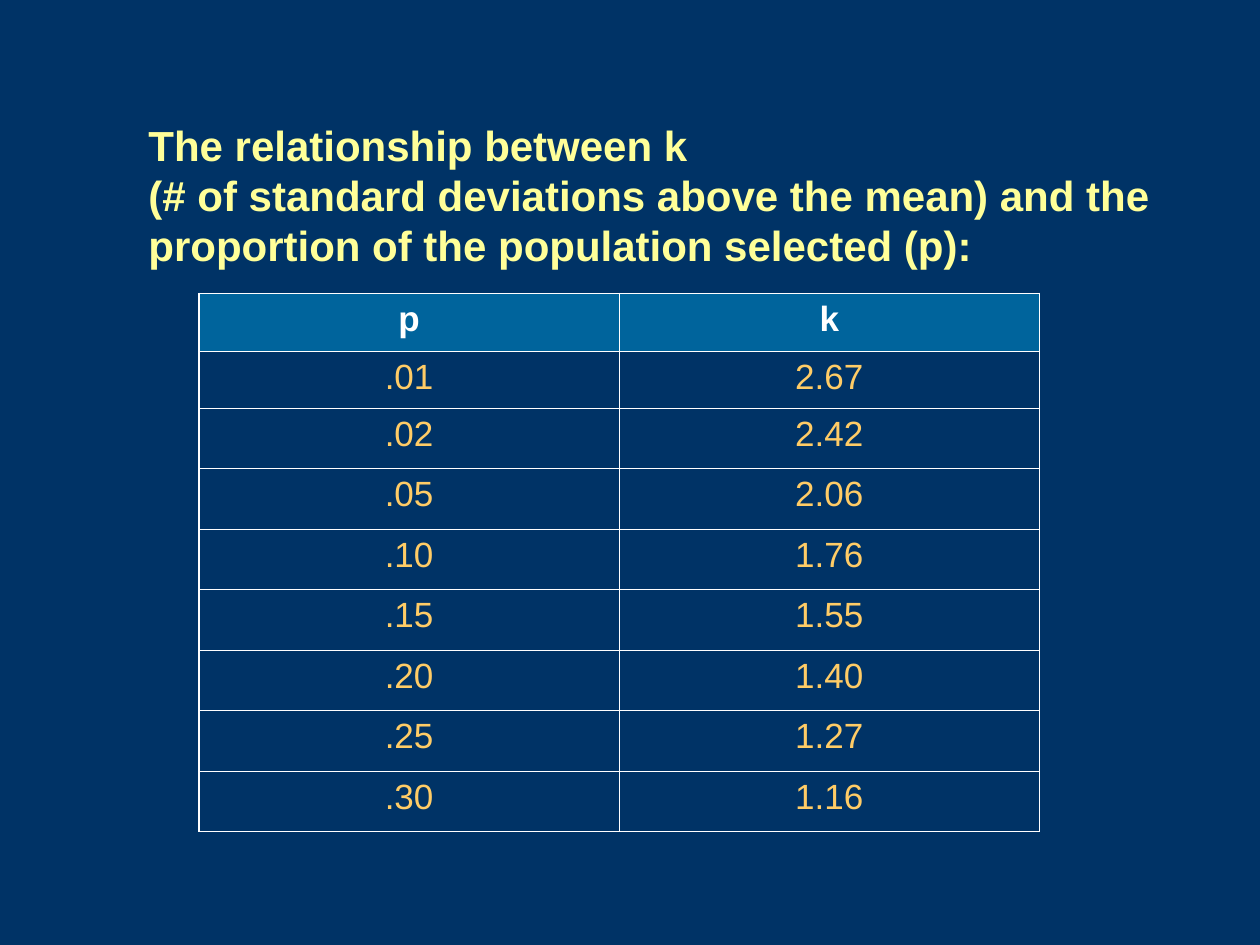
from dataclasses import dataclass

from lxml.etree import SubElement as Sub
from pptx import Presentation
from pptx.dml.color import RGBColor as RGB
from pptx.enum.text import MSO_ANCHOR as Anchor, PP_ALIGN as Align
from pptx.oxml.ns import qn
from pptx.util import Inches, Pt


@dataclass(frozen=True)
class Theme:
    font: str = "Arial"
    back: str = "003366"
    head: str = "00649C"
    title: str = "FFFF99"
    label: str = "FFFFFF"
    value: str = "FFCC66"
    rule: str = "FFFFFF"
    title_size: int = 24
    cell_size: int = 20
    outer: float = 1.08
    inner: float = 0.45


THEME = Theme()
TITLE = ("The relationship between k \v(# of standard deviations above the mean) "
         "and the proportion of the population selected (p):")
ROWS = [
    ("p", "k"),
    (".01", "2.67"),
    (".02", "2.42"),
    (".05", "2.06"),
    (".10", "1.76"),
    (".15", "1.55"),
    (".20", "1.40"),
    (".25", "1.27"),
    (".30", "1.16"),
]
HEIGHTS = [0.46, 0.45] + [0.48] * 7


def style(para, color, **form):
    para.font.color.rgb = RGB.from_string(color)
    for name, value in {"name": THEME.font, **form}.items():
        setattr(para.font, name, value)


def add_title(slide):
    box = slide.shapes.add_textbox(Inches(1.08), Inches(0.92), Inches(8.33), Inches(1.25))
    frame = box.text_frame
    frame.word_wrap = True
    frame.vertical_anchor = Anchor.MIDDLE
    para = frame.paragraphs[0]
    para.text = TITLE
    style(para, THEME.title, size=Pt(THEME.title_size), bold=True)


def add_rules(cell, edges):
    """Draw the cell borders, heavier on the edges of the table."""
    props = cell._tc.get_or_add_tcPr()
    for side, edge in edges.items():
        width = Pt(THEME.outer if edge else THEME.inner)
        line = Sub(props, qn(f"a:ln{side}"), w=str(width))
        fill = Sub(line, qn("a:solidFill"))
        Sub(fill, qn("a:srgbClr"), val=THEME.rule)


def fill_cell(cell, text, head):
    para = cell.text_frame.paragraphs[0]
    para.text = text
    para.alignment = Align.CENTER
    para.space_before = Pt(5)
    style(para, THEME.label if head else THEME.value, size=Pt(THEME.cell_size), bold=head)
    if head:
        cell.fill.solid()
        cell.fill.fore_color.rgb = RGB.from_string(THEME.head)
    else:
        cell.fill.background()


def add_grid(slide):
    count, width = len(ROWS), len(ROWS[0])
    frame = slide.shapes.add_table(count, width, Inches(1.58), Inches(2.33),
                                   Inches(6.67), Inches(sum(HEIGHTS)))
    table = frame.table
    table.first_row = table.horz_banding = False
    for row, height in zip(table.rows, HEIGHTS):
        row.height = Inches(height)
    for r, texts in enumerate(ROWS):
        for c, text in enumerate(texts):
            cell = table.cell(r, c)
            add_rules(cell, {"L": c == 0, "R": c == width - 1,
                             "T": r == 0, "B": r == count - 1})
            fill_cell(cell, text, r == 0)


def main():
    deck = Presentation()
    deck.slide_width, deck.slide_height = Inches(10), Inches(7.5)
    slide = deck.slides.add_slide(deck.slide_layouts[6])
    back = slide.background.fill
    back.solid()
    back.fore_color.rgb = RGB.from_string(THEME.back)
    add_grid(slide)
    add_title(slide)
    deck.save("out.pptx")


if __name__ == "__main__":
    main()
